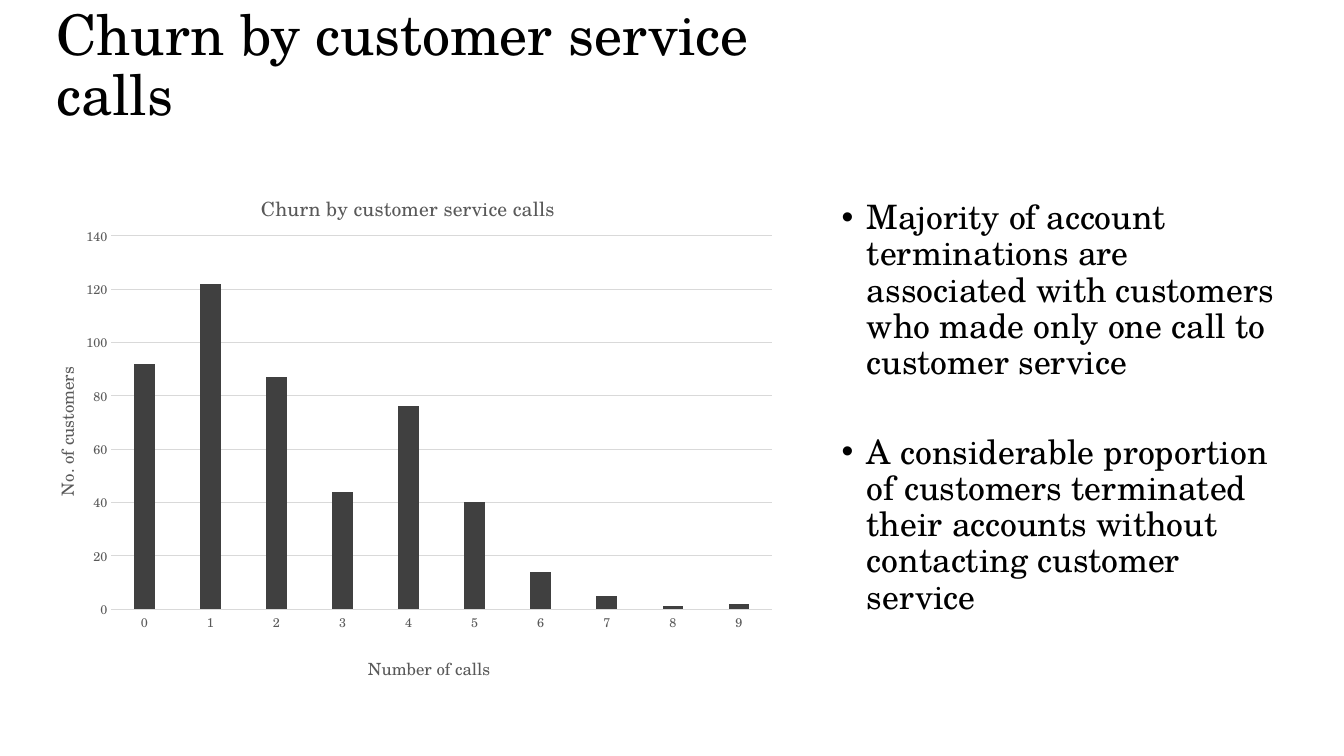
import lxml.etree
import pptx
import pptx.chart.data
import pptx.dml.color
import pptx.enum.chart
import pptx.enum.text
import pptx.oxml.ns
import pptx.util

FONT = "TeX Gyre Schola"
BLACK, GREY, GRID, BAR = "000000", "595959", "D9D9D9", "404040"
HEADING = "Churn by customer service calls"
CUSTOMERS_BY_CALLS = [92, 122, 87, 44, 76, 40, 14, 5, 1, 2]
FINDINGS = [
    "Majority of account terminations are associated with customers "
    "who made only one call to customer service",
    "A considerable proportion of customers terminated their accounts "
    "without contacting customer service",
]


def rgb(color):
    return pptx.dml.color.RGBColor.from_string(color)


def style_font(font, size, color):
    formats = {"name": FONT, "size": pptx.util.Pt(size), "bold": False}
    for attribute, value in formats.items():
        setattr(font, attribute, value)
    font.color.rgb = rgb(color)


def style_line(line, color):
    line.color.rgb = rgb(color)
    line.width = pptx.util.Pt(0.75)


def add_text_frame(slide, box, anchor):
    frame = slide.shapes.add_textbox(*map(pptx.util.Inches, box)).text_frame
    frame.word_wrap = True
    frame.vertical_anchor = anchor
    return frame


def add_heading(slide, box):
    frame = add_text_frame(slide, box, pptx.enum.text.MSO_ANCHOR.BOTTOM)
    paragraph = frame.paragraphs[0]
    paragraph.text = HEADING
    paragraph.line_spacing = 0.9
    style_font(paragraph.runs[0].font, 40, BLACK)


def add_findings(slide, box):
    frame = add_text_frame(slide, box, pptx.enum.text.MSO_ANCHOR.TOP)
    for index, finding in enumerate(FINDINGS):
        paragraph = frame.add_paragraph() if index else frame.paragraphs[0]
        paragraph.text = finding
        paragraph.line_spacing = 0.9
        paragraph.space_after = pptx.util.Pt(38)
        style_font(paragraph.runs[0].font, 24, BLACK)
        properties = paragraph._p.get_or_add_pPr()
        properties.set("marL", str(pptx.util.Inches(0.31)))
        properties.set("indent", str(pptx.util.Inches(-0.25)))
        qn = pptx.oxml.ns.qn
        lxml.etree.SubElement(properties, qn("a:buFont")).set("typeface", "Arial")
        lxml.etree.SubElement(properties, qn("a:buChar")).set("char", "•")


def place(element, **fractions):
    """Fix a chart part at fractions of the chart's width and height."""
    qn = pptx.oxml.ns.qn
    for automatic in element.findall(qn("c:layout")):
        element.remove(automatic)
    layout = lxml.etree.Element(qn("c:layout"))
    manual = lxml.etree.SubElement(layout, qn("c:manualLayout"))
    settings = {"xMode": "edge", "yMode": "edge", **fractions}
    if "w" in fractions:
        settings = {"layoutTarget": "inner", **settings}
    for tag, value in settings.items():
        lxml.etree.SubElement(manual, qn(f"c:{tag}")).set("val", str(value))
    text = element.find(qn("c:tx"))
    element.insert(0 if text is None else element.index(text) + 1, layout)


def write_title(title, text, size, x, y, rotation=0):
    title.text_frame.text = text
    style_font(title.text_frame.paragraphs[0].runs[0].font, size, GREY)
    body = next(title._element.iter(pptx.oxml.ns.qn("a:bodyPr")))
    body.set("rot", str(rotation * 60000))
    body.set("vert", "horz")
    place(title._element, x=x, y=y)


def style_axis(axis):
    formats = {
        "major_tick_mark": pptx.enum.chart.XL_TICK_MARK.NONE,
        "minor_tick_mark": pptx.enum.chart.XL_TICK_MARK.NONE,
        "has_title": True,
    }
    for attribute, value in formats.items():
        setattr(axis, attribute, value)
    style_font(axis.tick_labels.font, 9, GREY)


def add_churn_chart(slide, box):
    data = pptx.chart.data.CategoryChartData()
    data.categories = [str(calls) for calls in range(len(CUSTOMERS_BY_CALLS))]
    data.add_series("Series 1", CUSTOMERS_BY_CALLS)
    chart = slide.shapes.add_chart(
        pptx.enum.chart.XL_CHART_TYPE.COLUMN_CLUSTERED,
        *map(pptx.util.Inches, box), data).chart
    style_font(chart.font, 10, BLACK)
    chart.has_legend = False
    chart.has_title = True
    write_title(chart.chart_title, HEADING, 14, 0.31, 0.05)

    calls_axis, customers_axis = chart.category_axis, chart.value_axis
    for axis in (calls_axis, customers_axis):
        style_axis(axis)
    write_title(calls_axis.axis_title, "Number of calls", 12, 0.45, 0.92)
    write_title(customers_axis.axis_title, "No. of customers", 12, 0.04, 0.38, -90)
    style_line(calls_axis.format.line, GRID)
    customers_axis.format.line.fill.background()
    style_line(customers_axis.major_gridlines.format.line, GRID)
    customers_axis.minimum_scale = 0
    customers_axis.maximum_scale = 140
    customers_axis.major_unit = 20

    plot = chart.plots[0]
    for attribute, value in {"gap_width": 219, "overlap": -27,
                             "vary_by_categories": False}.items():
        setattr(plot, attribute, value)
    bars = plot.series[0].format
    bars.fill.solid()
    bars.fill.fore_color.rgb = rgb(BAR)
    plot_area = next(chart._chartSpace.iter(pptx.oxml.ns.qn("c:plotArea")))
    place(plot_area, x=0.12, y=0.14, w=0.86, h=0.7)


def main():
    presentation = pptx.Presentation()
    presentation.slide_width = pptx.util.Inches(13.33)
    presentation.slide_height = pptx.util.Inches(7.5)
    slide = presentation.slides.add_slide(presentation.slide_layouts[6])
    add_heading(slide, (0.46, 0.1, 8.37, 1.22))
    add_findings(slide, (8.19, 1.94, 4.75, 4.03))
    add_churn_chart(slide, (0.19, 1.6, 7.62, 5.29))
    presentation.save("out.pptx")


if __name__ == "__main__":
    main()
